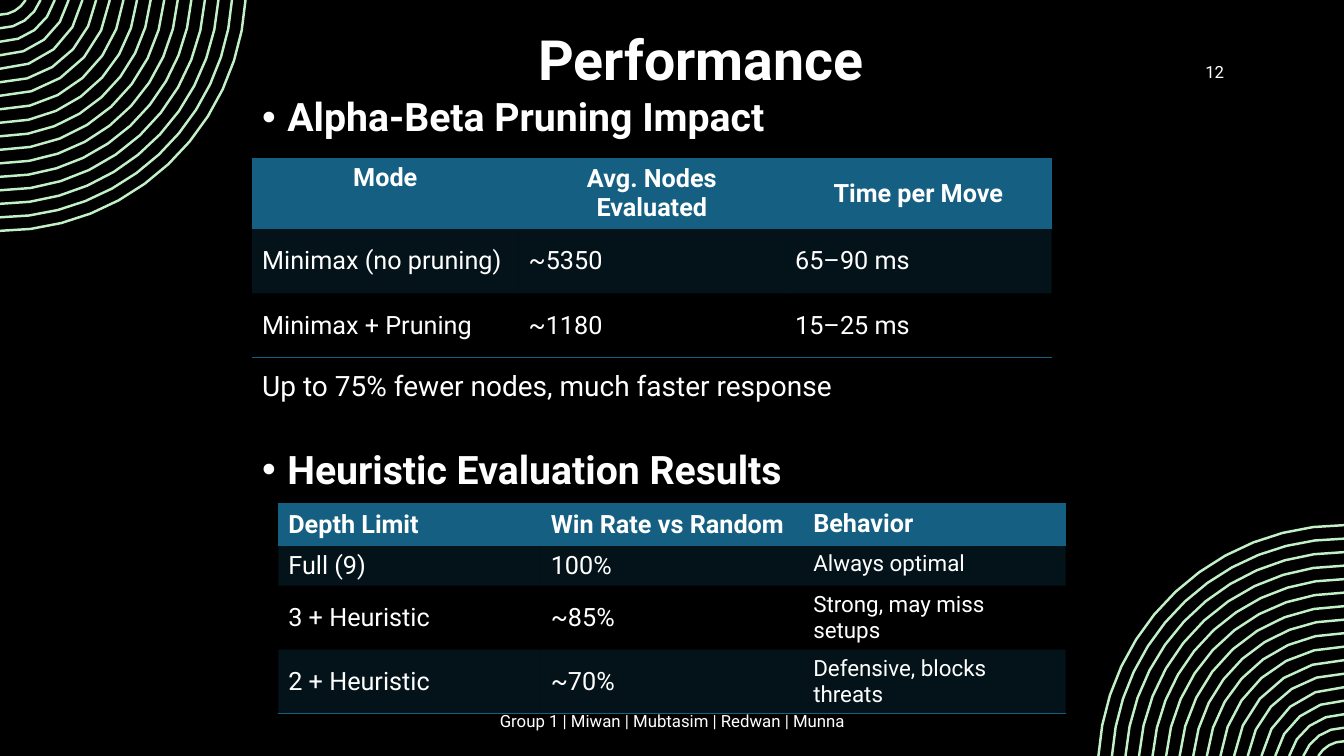
import math
from dataclasses import dataclass

import pptx
import pptx.util
import pptx.dml.color
import pptx.enum.text
import pptx.oxml
import pptx.oxml.ns
from lxml import etree

Inches, Pt = pptx.util.Inches, pptx.util.Pt
RGB = pptx.dml.color.RGBColor.from_string
Align = pptx.enum.text.PP_ALIGN
Anchor = pptx.enum.text.MSO_ANCHOR
qn = pptx.oxml.ns.qn


@dataclass(frozen=True)
class Theme:
    font: str = "Roboto"
    back: str = "000000"
    ink: str = "FFFFFF"
    ring: str = "C2F1C8"
    blue: str = "156082"
    tint: int = 20
    title: float = 39.6
    head: int = 28
    note: int = 20
    cell: int = 18
    small: int = 16
    foot: int = 12


THEME = Theme()
WIDE, HIGH = 13.33, 7.5
TITLE = "Performance"
BODY = [
    {"text": "Alpha-Beta Pruning Impact", "size": THEME.head, "bold": True, "gap": 0},
    {"text": "Up to 75% fewer nodes, much faster response", "size": THEME.note,
     "bold": False, "gap": 166},
    {"text": "Heuristic Evaluation Results", "size": THEME.head, "bold": True, "gap": 34},
]
LABELS = [
    ("Group 1 | Miwan | Mubtasim | Redwan | Munna", (4.42, 6.95, 4.5, 0.4), Align.CENTER),
    ("12", (11.32, 0.29, 0.92, 0.84), Align.RIGHT),
]
TABLES = [
    {
        "spot": (2.5, 1.57, 7.93),
        "rows": (0.69, 0.64, 0.64),
        "head": Align.CENTER,
        "top": {(0, 0)},
        "small": set(),
        "cells": [
            ("Mode", "Avg. Nodes Evaluated", "Time per Move"),
            ("Minimax (no pruning)", "~5350", "65–90 ms"),
            ("Minimax + Pruning", "~1180", "15–25 ms"),
        ],
    },
    {
        "spot": (2.76, 5, 7.81),
        "rows": (0.41, 0.4, 0.62, 0.62),
        "head": Align.LEFT,
        "top": {(0, 2), (1, 2)},
        "small": {(1, 2), (2, 2), (3, 2)},
        "cells": [
            ("Depth Limit", "Win Rate vs Random", "Behavior"),
            ("Full (9)", "100%", "Always optimal"),
            ("3 + Heuristic", "~85%", "Strong, may miss setups"),
            ("2 + Heuristic", "~70%", "Defensive, blocks threats"),
        ],
    },
]
RINGS = {"count": 17, "radius": 2.44, "step": 0.134, "width": 1.75, "shift": 0.15}
CORNERS = [(0, 0, 1), (WIDE, HIGH, -1)]


def style(para, size, bold=False, align=Align.LEFT):
    para.alignment = align
    for run in para.runs:
        font = run.font
        font.name, font.size, font.bold = THEME.font, Pt(size), bold
        font.color.rgb = RGB(THEME.ink)


def place(shape, left, top, width, height):
    shape.left, shape.top = Inches(left), Inches(top)
    shape.width, shape.height = Inches(width), Inches(height)


def arc(radius, x, y, sign):
    start = math.asin(RINGS["shift"] / radius)
    count = max(4, round(radius * 5))
    turns = [start + (math.pi / 2 - start) * i / count for i in range(count + 1)]
    return [
        (Inches(x + sign * radius * math.cos(t)),
         Inches(y + sign * (radius * math.sin(t) - RINGS["shift"])))
        for t in turns
    ]


def add_rings(slide, corner):
    radii = [RINGS["radius"] - i * RINGS["step"] for i in range(RINGS["count"])]
    arcs = [arc(r, *corner) for r in radii]
    pen = slide.shapes.build_freeform(*arcs[0][0], scale=1.0)
    for i, dots in enumerate(arcs):
        if i:
            pen.move_to(*dots[0])
        pen.add_line_segments(dots[1:], close=False)
    shape = pen.convert_to_shape()
    shape.shadow.inherit = False
    shape.fill.background()
    shape.line.color.rgb = RGB(THEME.ring)
    shape.line.width = Pt(RINGS["width"])


def add_body(holder):
    frame = holder.text_frame
    frame.auto_size = pptx.enum.text.MSO_AUTO_SIZE.NONE
    frame.text = "\n".join(item["text"] for item in BODY)
    for para, item in zip(frame.paragraphs, BODY):
        style(para, item["size"], item["bold"])
        para.line_spacing = 0.9
        para.space_before = Pt(item["gap"])
        dent = Inches(0.25) if item["bold"] else 0
        props = para._p.get_or_add_pPr()
        props.set("marL", str(dent))
        props.set("indent", str(-dent))
        if dent:
            etree.SubElement(props, qn("a:buChar")).set("char", "•")
        else:
            etree.SubElement(props, qn("a:buNone"))


def paint(cell, row, last):
    if row and row % 2 == 0:
        cell.fill.background()
    else:
        cell.fill.solid()
        cell.fill.fore_color.rgb = RGB(THEME.blue)
    props = cell._tc.get_or_add_tcPr()
    if row % 2:
        color = next(props.iter(qn("a:srgbClr")))
        etree.SubElement(color, qn("a:alpha")).set("val", str(THEME.tint * 1000))
    sides = (["a:lnT"] if row == 0 else []) + (["a:lnB"] if row in (0, last) else [])
    for spot, side in enumerate(sides):
        edge = etree.Element(qn(side), w=str(Pt(1)))
        solid = etree.SubElement(edge, qn("a:solidFill"))
        etree.SubElement(solid, qn("a:srgbClr")).set("val", THEME.blue)
        props.insert(spot, edge)


def add_grid(slide, data):
    left, top, width = data["spot"]
    cells, rows = data["cells"], data["rows"]
    frame = slide.shapes.add_table(
        len(cells), len(cells[0]), Inches(left), Inches(top),
        Inches(width), Inches(sum(rows)))
    next(frame._element.iter(qn("a:tableStyleId"))).text = \
        "{2D5ABB26-0587-4C30-8999-92F81FD0307C}"
    table = frame.table
    table.horz_banding = False
    for r, line in enumerate(cells):
        table.rows[r].height = Inches(rows[r])
        for c, text in enumerate(line):
            cell = table.cell(r, c)
            cell.text_frame.text = text
            cell.vertical_anchor = Anchor.TOP if (r, c) in data["top"] else Anchor.MIDDLE
            size = THEME.small if (r, c) in data["small"] else THEME.cell
            align = Align.LEFT if r else data["head"]
            style(cell.text_frame.paragraphs[0], size, r == 0, align)
            paint(cell, r, len(cells) - 1)


def add_label(slide, text, spot, align):
    box = slide.shapes.add_textbox(*map(Inches, spot))
    frame = box.text_frame
    frame.word_wrap = True
    frame.vertical_anchor = Anchor.MIDDLE
    frame.text = text
    style(frame.paragraphs[0], THEME.foot, align=align)


def main():
    deck = pptx.Presentation()
    deck.slide_width, deck.slide_height = Inches(WIDE), Inches(HIGH)
    slide = deck.slides.add_slide(deck.slide_layouts[1])
    slide.background.fill.solid()
    slide.background.fill.fore_color.rgb = RGB(THEME.back)
    title, body = slide.shapes.title, slide.placeholders[1]
    place(title, 5.24, 0.25, 7.7, 0.74)
    title.text_frame.text = TITLE
    title.text_frame.auto_size = pptx.enum.text.MSO_AUTO_SIZE.NONE
    title.text_frame.vertical_anchor = Anchor.MIDDLE
    title.text_frame.paragraphs[0].line_spacing = 0.9
    style(title.text_frame.paragraphs[0], THEME.title, True)
    place(body, 2.5, 0.92, 7.93, 5.47)
    add_body(body)
    for corner in CORNERS:
        add_rings(slide, corner)
    for label in LABELS:
        add_label(slide, *label)
    for data in TABLES:
        add_grid(slide, data)
    deck.save("out.pptx")


if __name__ == "__main__":
    main()
